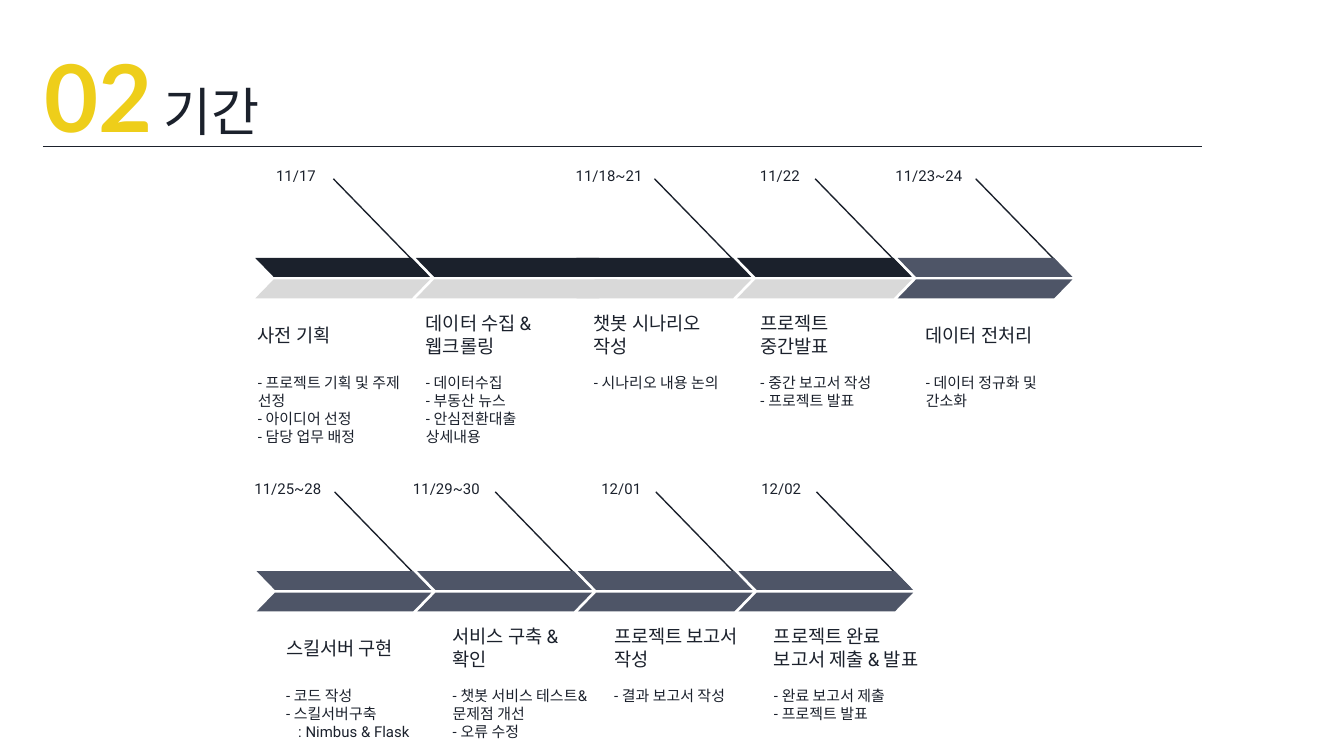
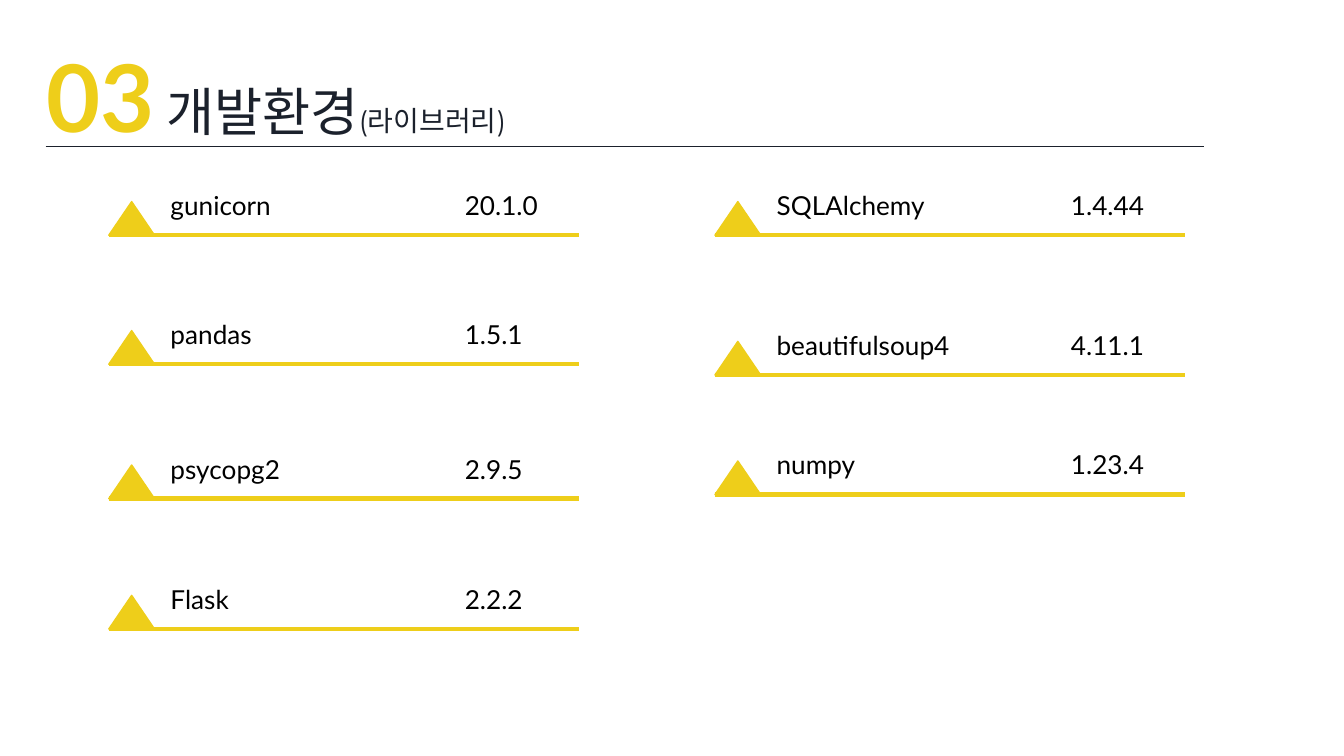
"""Build the project schedule and library slides."""
from lxml import etree
from pptx import Presentation
from pptx.dml.color import RGBColor
from pptx.enum import shapes, text
from pptx.oxml import ns
from pptx.util import Inches, Pt

NAVY = RGBColor(0x1B, 0x21, 0x2C)
SLATE = RGBColor(0x4E, 0x55, 0x67)
GRAY = RGBColor(0xD9, 0xD9, 0xD9)
YELLOW = RGBColor(0xEE, 0xCE, 0x1A)
BLACK = RGBColor(0, 0, 0)

DONE, PLANNED = (NAVY, GRAY), (SLATE, SLATE)

# Each phase: date, date left, date width, text left, bar width, bar colours, heading, details
PHASE_ROWS = [
    [
        ("11/17", 1.86, 0.59, 1.82, 1.3, DONE, ["사전 기획"],
         ["- 프로젝트 기획 및 주제 선정\n- 아이디어 선정\n- 담당 업무 배정"]),
        (None, 0, 0, 3.07, 1.5, DONE, ["데이터 수집 &", "웹크롤링"],
         ["- 데이터수집\n- 부동산 뉴스\n- 안심전환대출 상세내용"]),
        ("11/18~21", 3.8, 1.08, 4.32, 1.3, DONE, ["챗봇 시나리오 작성"],
         ["- 시나리오 내용 논의"]),
        ("11/22", 5.46, 0.59, 5.56, 1.3, DONE, ["프로젝트 중간발표"],
         ["- 중간 보고서 작성\n- 프로젝트 발표"]),
        ("11/23~24", 6.3, 0.96, 6.79, 1.3, PLANNED, ["데이터 전처리"],
         ["- 데이터 정규화 및 간소화"]),
    ],
    [
        ("11/25~28", 1.71, 0.78, 2.03, 1.3, PLANNED, ["스킬서버 구현"],
         ["- 코드 작성\n- 스킬서버구축", ": Nimbus & Flask"]),
        ("11/29~30", 2.97, 0.7, 3.27, 1.3, PLANNED, ["서비스 구축 &", "확인"],
         ["- 챗봇 서비스 테스트& 문제점 개선\n- 오류 수정"]),
        ("12/01", 4.28, 0.59, 4.47, 1.3, PLANNED, ["프로젝트 보고서", "작성"],
         ["- 결과 보고서 작성"]),
        ("12/02", 5.47, 0.59, 5.66, 1.3, PLANNED, ["프로젝트 완료", "보고서 제출 & 발표"],
         ["- 완료 보고서 제출\n- 프로젝트 발표"]),
    ],
]
HEADING_WIDTHS = (1.24, 1.38)

LIBRARY_COLUMNS = [
    (0.81, [("gunicorn", "20.1.0", 1.31), ("pandas", "1.5.1", 2.27),
            ("psycopg2", "2.9.5", 3.27), ("Flask", "2.2.2", 4.24)]),
    (5.32, [("SQLAlchemy", "1.4.44", 1.31), ("beautifulsoup4", "4.11.1", 2.35),
            ("numpy", "1.23.4", 3.24)]),
]


def add_run(p, content, size, font, color, bold=False):
    r = p.add_run()
    r.text = content
    r.font.size, r.font.name, r.font.bold = Pt(size), font, bold
    r.font.color.rgb = color


def set_frame(tf, anchor):
    tf.word_wrap = True
    tf.auto_size = text.MSO_AUTO_SIZE.NONE
    tf.vertical_anchor = anchor
    tf.margin_left = tf.margin_right = tf.margin_top = tf.margin_bottom = Inches(0.1)


def add_text(s, box, paragraphs, size, font="Roboto", color=NAVY, bold=False,
             anchor=text.MSO_ANCHOR.TOP, align=text.PP_ALIGN.LEFT):
    tf = s.shapes.add_textbox(*map(Inches, box)).text_frame
    set_frame(tf, anchor)
    for i, content in enumerate(paragraphs):
        p = tf.add_paragraph() if i else tf.paragraphs[0]
        p.alignment = align
        if content.startswith(":"):
            p._p.get_or_add_pPr().set("marL", str(Inches(0.09)))
        for j, line in enumerate(content.split("\n")):
            if j:
                p.add_line_break()
            add_run(p, line, size, font, color, bold)


def add_line(s, x1, y1, x2, y2, color=NAVY, width=0.75):
    line = s.shapes.add_connector(shapes.MSO_CONNECTOR.STRAIGHT, *map(Inches, (x1, y1, x2, y2)))
    line.line.color.rgb, line.line.width = color, Pt(width)
    etree.SubElement(line._element.spPr, ns.qn("a:effectLst"))


def add_filled(s, kind, box, color, adjustment):
    sp = s.shapes.add_shape(kind, *map(Inches, box))
    sp.shadow.inherit = False
    sp.adjustments[0] = adjustment
    sp.fill.solid()
    sp.fill.fore_color.rgb = color
    sp.line.fill.background()
    return sp


def add_section(prs, number, title_runs, shift=0):
    s = prs.slides.add_slide(prs.slide_layouts[5])
    title = s.shapes.title
    title.left, title.top, title.width, title.height = map(
        Inches, (1.12 + shift, 0.49, 7.65, 0.65))
    tf = title.text_frame
    set_frame(tf, text.MSO_ANCHOR.TOP)
    p = tf.paragraphs[0]
    p.alignment = text.PP_ALIGN.LEFT
    for content, size in title_runs:
        add_run(p, content, size, "Montserrat", NAVY)
    add_text(s, (0.23 + shift, 0.35, 1.29, 0.71), [number], 50, "Lato", YELLOW, True,
             text.MSO_ANCHOR.MIDDLE)
    add_line(s, 0.32 + shift, 1.09, 8.94 + shift, 1.09)
    return s


def add_phase(s, phase, x, top, heading_width):
    date, date_x, date_w, text_x, bar_w, colors, heading, details = phase
    if date:
        add_text(s, (date_x, top, date_w, 0.23), [date], 8, align=text.PP_ALIGN.RIGHT)
        add_line(s, x + 0.58, top + 0.19, x + 1.28, top + 0.91)
    for half, color in enumerate(colors):
        bar = add_filled(s, shapes.MSO_SHAPE.PARALLELOGRAM,
                         (x, top + 0.78 + 0.16 * half, bar_w, 0.14), color, 0.97)
        if half == 0:
            bar._element.spPr.xfrm.set("flipH", "1")
    add_text(s, (text_x, top + 1.13, heading_width, 0.44), heading, 10,
             anchor=text.MSO_ANCHOR.MIDDLE)
    add_text(s, (text_x, top + 1.54, 1.28, 0.73), details, 8)


def add_library(s, x, y, name, version):
    add_text(s, (x + 0.36, y, 1.91, 0.44), [name], 14, "Lato", BLACK)
    add_text(s, (x + 2.55, y, 1.31, 0.44), [version], 14, "Lato", BLACK)
    add_line(s, x, y + 0.44, x + 3.5, y + 0.44, YELLOW, 2.25)
    marker = add_filled(s, shapes.MSO_SHAPE.ISOSCELES_TRIANGLE,
                        (x, y + 0.19, 0.34, 0.25), YELLOW, 0.5)
    marker.line.color.rgb, marker.line.width = YELLOW, Pt(0.75)


def main():
    prs = Presentation()
    prs.slide_width, prs.slide_height = Inches(10), Pt(405)

    s = add_section(prs, "02", [("기간", 28)])
    for row, phases in enumerate(PHASE_ROWS):
        for col, phase in enumerate(phases):
            add_phase(s, phase, 1.9 + 0.01 * row + 1.195 * col, 1.14 + 2.33 * row,
                      HEADING_WIDTHS[row])

    s = add_section(prs, "03", [("개발환경", 28), ("(라이브러리)", 15)], 0.02)
    for x, libraries in LIBRARY_COLUMNS:
        for name, version, y in libraries:
            add_library(s, x, y, name, version)

    prs.save("out.pptx")


if __name__ == "__main__":
    main()
